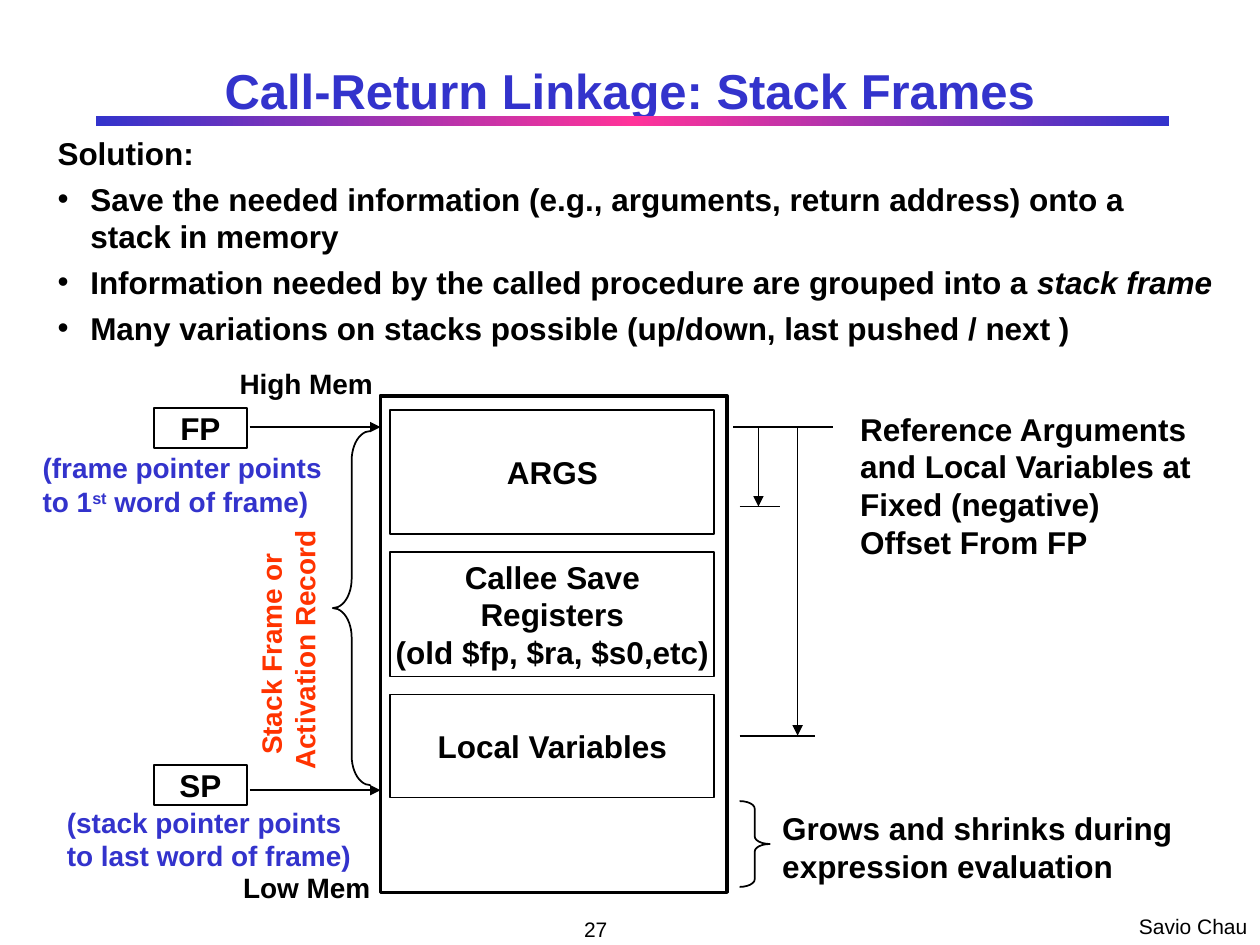
import copy

import pptx
import pptx.dml.color
import pptx.enum.shapes
import pptx.enum.text
import pptx.oxml
import pptx.oxml.ns
import pptx.util
from lxml import etree

COLORS = {"ink": "000000", "blue": "3333CC", "pink": "FF3399", "red": "FF3300"}
SHAPES = pptx.enum.shapes.MSO_SHAPE
ALIGN = pptx.enum.text.PP_ALIGN
ANCHOR = pptx.enum.text.MSO_ANCHOR
Cm = pptx.util.Cm
qn = pptx.oxml.ns.qn


def rgb(name):
    return pptx.dml.color.RGBColor.from_string(COLORS[name])


def box(left, top, width, height):
    return Cm(left), Cm(top), Cm(width), Cm(height)


def write(frame, text, size=18, color="ink", bold=True, align=ALIGN.LEFT,
          anchor=ANCHOR.TOP, inset=(0.25, 0.13), wrap=True, before=0, bullets=False):
    """Fill a frame with paragraphs; a paragraph is a string or (string, style) pairs."""
    frame.word_wrap = wrap
    frame.auto_size = pptx.enum.text.MSO_AUTO_SIZE.NONE
    frame.vertical_anchor = anchor
    frame.margin_left = frame.margin_right = Cm(inset[0])
    frame.margin_top = frame.margin_bottom = Cm(inset[1])
    for index, content in enumerate([text] if isinstance(text, str) else text):
        paragraph = frame.add_paragraph() if index else frame.paragraphs[0]
        paragraph.alignment = align
        paragraph.space_before = pptx.util.Pt(before if index else 0)
        if bullets:
            add_bullet(paragraph, "•" if index else None)
        for words, style in [(content, "")] if isinstance(content, str) else content:
            run = paragraph.add_run()
            run.text = words
            run.font.name = "Arial"
            run.font.size = pptx.util.Pt(size)
            run.font.bold = bold
            run.font.italic = style == "italic"
            run.font.color.rgb = rgb(color)
            if style == "superscript":
                run.font._element.set("baseline", "30000")


def add_bullet(paragraph, character):
    """Set a hanging indent with the bullet, or with none."""
    properties = paragraph._p.get_or_add_pPr()
    properties.set("marL", str(Cm(0.66)))
    properties.set("indent", str(-Cm(0.66)))
    if character:
        etree.SubElement(properties, qn("a:buFont")).set("typeface", "Arial")
        etree.SubElement(properties, qn("a:buChar")).set("char", character)
    else:
        etree.SubElement(properties, qn("a:buNone"))


class SlideBuilder:
    def __init__(self, slide, line_width=1):
        self.slide = slide
        self.line_width = line_width

    def placeholder(self, index, place, text, **style):
        holder = self.slide.placeholders[index]
        holder.left, holder.top, holder.width, holder.height = box(*place)
        write(holder.text_frame, text, **style)

    def label(self, place, text, rotation=0, **style):
        label = self.slide.shapes.add_textbox(*box(*place))
        label.rotation = rotation
        write(label.text_frame, text, **style)

    def outline(self, place, text=None, kind=SHAPES.RECTANGLE, width=None, **style):
        shape = self.slide.shapes.add_shape(kind, *box(*place))
        shape.shadow.inherit = False
        shape.fill.background()
        shape.line.color.rgb = rgb("ink")
        shape.line.width = pptx.util.Pt(width or self.line_width)
        if text:
            write(shape.text_frame, text, align=ALIGN.CENTER, anchor=ANCHOR.MIDDLE, **style)
        return shape

    def brace(self, kind, place, curve):
        self.outline(place, kind=kind).adjustments[0] = curve

    def line(self, x1, y1, x2, y2, arrow=False):
        line = self.slide.shapes.add_connector(
            pptx.enum.shapes.MSO_CONNECTOR.STRAIGHT, Cm(x1), Cm(y1), Cm(x2), Cm(y2))
        line.line.color.rgb = rgb("ink")
        line.line.width = pptx.util.Pt(self.line_width)
        if arrow:
            etree.SubElement(line.line._get_or_add_ln(), qn("a:tailEnd")).set("type", "triangle")
        etree.SubElement(line._element.spPr, qn("a:effectLst"))

    def gradient_bar(self, place, edge, middle):
        bar = self.slide.shapes.add_shape(SHAPES.RECTANGLE, *box(*place))
        bar.shadow.inherit = False
        bar.line.fill.background()
        bar.fill.gradient()
        bar.fill.gradient_angle = 0
        first = bar.fill.gradient_stops[0]._gs
        first.addnext(copy.deepcopy(first))
        for stop, position, color in zip(bar.fill.gradient_stops, (0, 0.5, 1),
                                         (edge, middle, edge)):
            stop.position = position
            stop.color.rgb = rgb(color)


def main():
    deck = pptx.Presentation()
    deck.slide_width, deck.slide_height = Cm(25.4), Cm(19.05)
    page = SlideBuilder(deck.slides.add_slide(deck.slide_layouts[1]))

    page.gradient_bar((1.93, 2.34, 21.64, 0.2), "blue", "pink")
    page.placeholder(0, (1.9, 1.07, 21.59, 1.47), "Call-Return Linkage: Stack Frames",
                     size=28, color="blue", align=ALIGN.CENTER, anchor=ANCHOR.MIDDLE)
    page.placeholder(1, (0.91, 2.57, 23.8, 4.17), [
        "Solution:",
        "Save the needed information (e.g., arguments, return address) onto a stack in memory",
        [("Information needed by the called procedure are grouped into a ", ""),
         ("stack frame", "italic")],
        "Many variations on stacks possible (up/down, last pushed / next )",
    ], before=4.5, bullets=True)

    # Memory and the parts of the frame
    stack_left, frame_top, part_pitch = 7.67, 8.26, 2.87
    page.outline((stack_left, 7.98, 6.99, 10.01), width=2)
    frame_parts = [
        ("ARGS", 2.51),
        (["Callee Save Registers", "(old $fp, $ra, $s0,etc)"], 2.51),
        ("Local Variables", 2.08),
    ]
    for row, (part, height) in enumerate(frame_parts):
        page.outline((7.87, frame_top + row * part_pitch, 6.53, height), part, inset=(0, 0.13))
    page.label((4.83, 7.39, 2.69, 0.69), "High Mem", size=16, inset=(0, 0), wrap=False)
    page.label((4.65, 17.42, 3.07, 0.94), "Low Mem", size=16, wrap=False)

    # Pointers into the stack
    fp_level, sp_level = 8.61, 15.93
    for pointer, top, level in (("FP", 8.23, fp_level), ("SP", 15.42, sp_level)):
        page.outline((3.1, top, 1.88, 0.81), pointer, inset=(0.25, 0.05))
        page.line(5.03, level, stack_left, level, arrow=True)
    pointer_note = dict(size=16, color="blue", inset=(0, 0))
    page.label((0.86, 9.09, 5.99, 1.35), [[("(frame pointer points to 1", ""),
               ("st", "superscript"), (" word of frame)", "")]], **pointer_note)
    page.label((1.35, 16.23, 6.1, 1.35), "(stack pointer points to last word of frame)",
               **pointer_note)
    page.brace(SHAPES.LEFT_BRACE, (6.71, 8.69, 0.76, 7.14), 0.78)
    page.label((3.15, 12.29, 5.31, 1.63), ["Stack Frame or ", "Activation Record"],
               rotation=270, size=16, color="red", align=ALIGN.CENTER, wrap=False)

    # Offsets measured from FP
    page.line(14.78, fp_level, 16.79, fp_level)
    for offset_x, level, tick_end in ((15.29, 10.21, 15.72), (16.08, 14.83, 16.43)):
        page.line(offset_x, fp_level, offset_x, level, arrow=True)
        page.line(14.91, level, tick_end, level)
    page.label((17.09, 8.13, 7.21, 3.3), ["Reference Arguments", "and Local Variables at",
               "Fixed (negative)", "Offset From FP"], wrap=False)
    page.brace(SHAPES.RIGHT_BRACE, (14.91, 16.15, 0.61, 1.73), 0.25)
    page.label((15.77, 16.31, 8.23, 1.52), "Grows and shrinks during expression evaluation",
               inset=(0, 0))

    # Footer
    page.label((9.37, 18.42, 5.28, 0.64), "27", size=12, bold=False,
               align=ALIGN.CENTER, anchor=ANCHOR.MIDDLE)
    page.label((22.71, 18.29, 2.69, 0.76), "Savio Chau", size=12, bold=False, wrap=False)

    deck.save("out.pptx")


if __name__ == "__main__":
    main()
